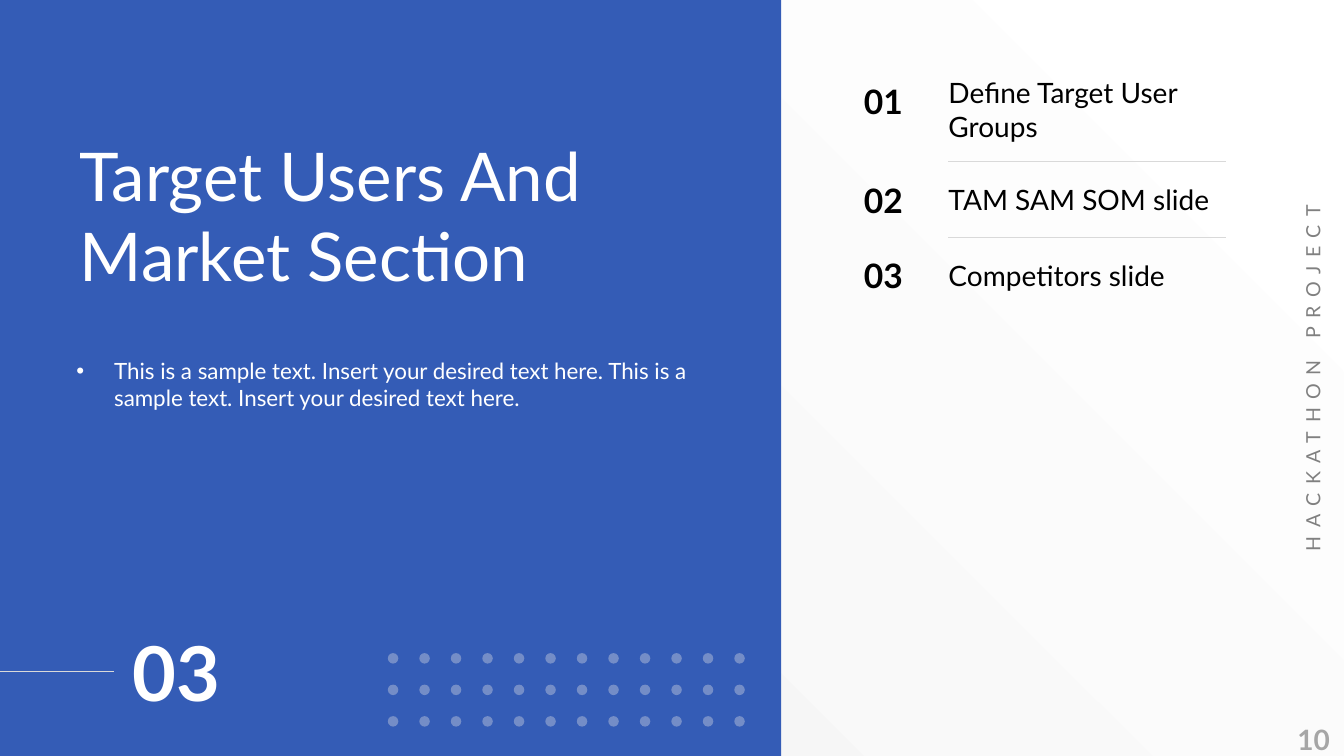
import pptx
import pptx.util
import pptx.dml.color
import pptx.enum.shapes
import pptx.enum.text
from lxml import etree

Pt = pptx.util.Pt
Align = pptx.enum.text.PP_ALIGN
Anchor = pptx.enum.text.MSO_ANCHOR
Kind = pptx.enum.shapes.MSO_SHAPE


class Theme:
    font = "Lato"
    white, pale, panel = "FFFFFF", "F2F2F2", "345CB6"
    rule, dot = "D9D9D9", "E6E6E6"
    ink, side, page = "000000", "808080", "A6A6A6"
    title, body, mark = 48, 16, 54
    item, num, small = 20, 24, 14


def rgb(code):
    return pptx.dml.color.RGBColor.from_string(code)


def place(shape, box):
    shape.left, shape.top, shape.width, shape.height = map(Pt, box)


def write(shape, text, size, color, bold=False, align=Align.LEFT,
          anchor=Anchor.MIDDLE, pad=0):
    """Put one formatted paragraph into a text box or placeholder."""
    frame = shape.text_frame
    frame.text = text
    frame.word_wrap = True
    frame.auto_size = pptx.enum.text.MSO_AUTO_SIZE.NONE
    frame.vertical_anchor = anchor
    frame.margin_left = frame.margin_right = 0
    frame.margin_top = frame.margin_bottom = Pt(pad)
    para = frame.paragraphs[0]
    para.alignment = align
    para.space_before = Pt(0)
    font = para.runs[0].font
    font.name, font.size, font.bold = Theme.font, Pt(size), bold
    font.color.rgb = rgb(color)


def label(slide, box, *args, **style):
    shape = slide.shapes.add_textbox(*map(Pt, box))
    write(shape, *args, **style)
    return shape


def solid(slide, kind, box, color):
    shape = slide.shapes.add_shape(kind, *map(Pt, box))
    shape.shadow.inherit = False
    shape.fill.solid()
    shape.fill.fore_color.rgb = rgb(color)
    shape.line.fill.background()
    return shape


def rule(slide, left, right, y):
    line = slide.shapes.add_connector(
        pptx.enum.shapes.MSO_CONNECTOR.STRAIGHT, Pt(left), Pt(y), Pt(right), Pt(y))
    line.line.color.rgb = rgb(Theme.rule)
    line.line.width = Pt(0.75)
    etree.SubElement(line.element.spPr, pptx.oxml.ns.qn("a:effectLst"))


def backdrop(slide):
    fill = slide.background.fill
    fill.gradient()
    fill.gradient_angle = 225
    stops = zip(fill.gradient_stops, (Theme.white, Theme.pale), (0.04, 1))
    for stop, color, pos in stops:
        stop.color.rgb = rgb(color)
        stop.position = pos


def dots(slide, left, top, cols=12, rows=3, size=7.5, step=22.5):
    for row in range(rows):
        for col in range(cols):
            box = (left + col * step, top + row * step, size, size)
            dot = solid(slide, Kind.OVAL, box, Theme.dot)
            color = dot.element.spPr.find(".//" + pptx.oxml.ns.qn("a:srgbClr"))
            etree.SubElement(color, pptx.oxml.ns.qn("a:alpha"), val="36000")


def section(slide, box, title, text, mark):
    """Draw the coloured panel with the section title, text and number."""
    left, top, width, height = box
    base = top + height
    solid(slide, Kind.RECTANGLE, box, Theme.panel)
    rule(slide, left, left + 81.5, base - 60.5)
    dots(slide, left + 277, base - 73.5)

    head, body = slide.placeholders
    for shape in (head, body):
        slide.shapes.element.append(shape.element)
    place(head, (left + 57, top + 45.5, 439, 170.5))
    write(head, title, Theme.title, Theme.white, anchor=Anchor.BOTTOM, pad=5)
    place(body, (left + 54.5, top + 250, 441, 82))
    props = body.text_frame.paragraphs[0]._p.get_or_add_pPr()
    props.set("marL", "0")
    props.set("indent", "0")
    etree.SubElement(props, pptx.oxml.ns.qn("a:buNone"))
    write(body, text, Theme.body, Theme.white, anchor=Anchor.TOP, pad=5)
    label(slide, (left + 94.5, base - 111.5, 119, 102), mark, Theme.mark,
          Theme.white, bold=True, pad=5)


def agenda(slide, box, items, gap=18, cell=36):
    """List numbered items, each given as text and row height, with rules between."""
    left, top, width, _ = box
    start = left + 67
    for index, (text, height) in enumerate(items, 1):
        if index > 1:
            rule(slide, start, left + width - 1.5, top - gap / 2)
        label(slide, (left, top, 41, cell), f"{index:02}", Theme.num, Theme.ink,
              bold=True, align=Align.CENTER)
        anchor = Anchor.TOP if height > cell else Anchor.MIDDLE
        label(slide, (start, top, left + width - start, height), text,
              Theme.item, Theme.ink, anchor=anchor)
        top += height + gap


def margin(slide, box, text, page):
    """Set the upright running text and the page number at the right edge."""
    left, top, width, height = box
    long, thick = 304, 29
    side = label(slide, (left + (width - long) / 2, top + (height - thick) / 2,
                         long, thick),
                 text, Theme.small, Theme.side, align=Align.CENTER, pad=5)
    side.rotation = 270
    run = side.text_frame.paragraphs[0].runs[0]
    run.font._element.set("spc", "600")
    label(slide, (left - 210, top + height - 26, 236, 28), page, Theme.item,
          Theme.page, bold=True, align=Align.RIGHT, pad=5)


def main():
    deck = pptx.Presentation()
    deck.slide_width, deck.slide_height = Pt(960), Pt(540)
    slide = deck.slides.add_slide(deck.slide_layouts[1])
    backdrop(slide)
    section(slide, (0, 0, 558, 540), "Target Users And Market Section",
            "This is a sample text. Insert your desired text here. "
            "This is a sample text. Insert your desired text here.", "03")
    agenda(slide, (610.5, 54, 267, 160),
           [("Define Target User Groups", 52.6), ("TAM SAM SOM slide", 36),
            ("Competitors slide", 36)])
    margin(slide, (924, 0, 27, 540), "HACKATHON PROJECT", "10")
    deck.save("out.pptx")


if __name__ == "__main__":
    main()
